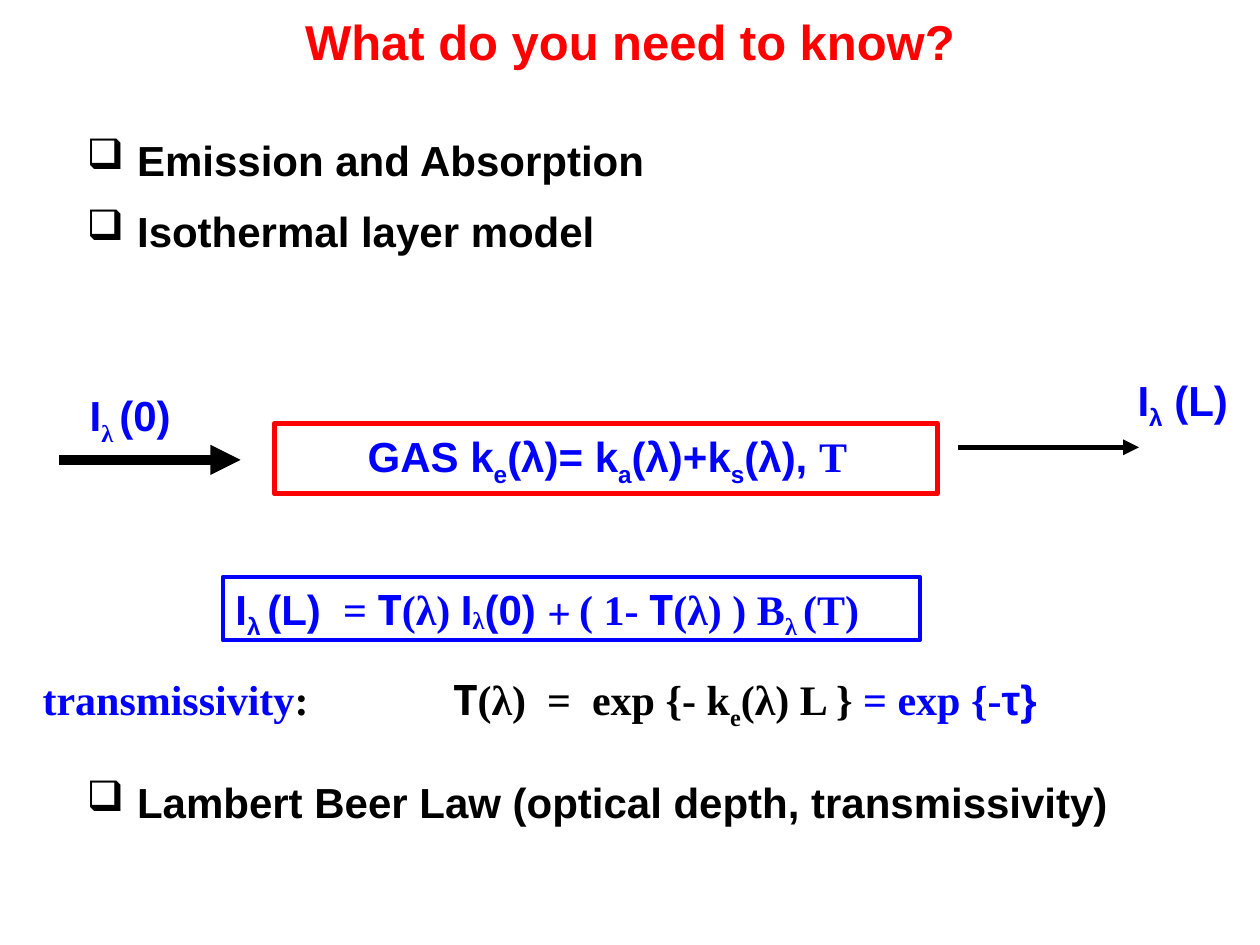
from pptx import Presentation
from pptx.dml.color import RGBColor
from pptx.enum.shapes import MSO_CONNECTOR as Connector, MSO_SHAPE as Shape
from pptx.enum.text import MSO_ANCHOR as Anchor, PP_ALIGN as Align
from pptx.oxml.ns import qn
from pptx.util import Pt
from lxml.etree import SubElement

PX = 9144
ARIAL, TIMES, NOTO, VOLLKORN = "Arial", "Times New Roman", "Noto Sans", "Vollkorn"
BLACK, BLUE, RED = "000000", "0000FF", "FF0000"
SUB = -25


def px(*lengths):
    return [length * PX for length in lengths]


def rgb(value):
    return RGBColor.from_string(value)


def add_run(paragraph, text, font=ARIAL, baseline=0, color=BLUE, size=24):
    run = paragraph.add_run()
    run.text = text
    run.font.name = font
    run.font.size = Pt(size)
    run.font.bold = True
    run.font.color.rgb = rgb(color)
    if baseline:
        run._r.get_or_add_rPr().set("baseline", str(baseline * 1000))


def add_runs(paragraph, runs):
    for run in runs:
        add_run(paragraph, *run)


def add_text(slide, box, runs=(), align=Align.LEFT):
    frame = slide.shapes.add_textbox(*px(*box)).text_frame
    frame.word_wrap = True
    frame.paragraphs[0].alignment = align
    add_runs(frame.paragraphs[0], runs)
    return frame


def add_frame(slide, box, color, width):
    shape = slide.shapes.add_shape(Shape.RECTANGLE, *px(*box))
    shape.shadow.inherit = False
    shape.fill.background()
    shape.line.color.rgb = rgb(color)
    shape.line.width = Pt(width)
    return shape


def add_arrow(slide, left, top, length, width):
    arrow = slide.shapes.add_connector(
        Connector.STRAIGHT, *px(left, top, left + length, top))
    arrow.line.color.rgb = rgb(BLACK)
    arrow.line.width = Pt(width)
    SubElement(arrow.line._get_or_add_ln(), qn("a:tailEnd"), type="triangle")
    SubElement(arrow._element.spPr, qn("a:effectLst"))


def add_title(slide, box, text):
    title = slide.shapes.title
    title.left, title.top, title.width, title.height = px(*box)
    frame = title.text_frame
    frame.vertical_anchor = Anchor.MIDDLE
    frame.paragraphs[0].alignment = Align.CENTER
    add_run(frame.paragraphs[0], text, color=RED, size=28)


def add_bullets(slide, box, items):
    frame = add_text(slide, box)
    frame.vertical_anchor = Anchor.MIDDLE
    for index, item in enumerate(items):
        paragraph = frame.add_paragraph() if index else frame.paragraphs[0]
        if index:
            paragraph.space_before = Pt(12)
        properties = paragraph._p.get_or_add_pPr()
        properties.set("marL", str(40 * PX))
        properties.set("indent", str(-40 * PX))
        SubElement(properties, qn("a:buChar"), char="❑")
        add_run(paragraph, item, color=BLACK)


def add_gas_layer(slide, left, top):
    add_frame(slide, (left + 171, top + 44, 526, 56), RED, 3)
    add_arrow(slide, left, top + 73, 144, 5.75)
    add_arrow(slide, left + 713, top + 63, 144, 3)
    add_text(slide, (left + 235, top + 45, 470, 50), [
        ("GAS k",), ("e", ARIAL, SUB), ("(λ)= k",), ("a", ARIAL, SUB),
        ("(λ)+k",), ("s", ARIAL, SUB), ("(λ), ",), ("T", TIMES)])
    add_text(slide, (left + 846, top, 107, 50), [
        ("I",), ("λ", ARIAL, SUB), (" (L)",)])
    incoming = add_text(slide, (left - 11, top + 13, 144, 47), [
        ("I",), ("λ ", TIMES, SUB), ("(0) ",)], Align.CENTER)
    incoming.paragraphs[0].line_spacing = 0.9


def add_equation(slide, box):
    frame = add_frame(slide, box, BLUE, 2.5).text_frame
    frame.word_wrap = True
    frame.vertical_anchor = Anchor.TOP
    paragraph = frame.paragraphs[0]
    paragraph.alignment = Align.LEFT
    add_runs(paragraph, [
        ("I",), ("λ ", ARIAL, SUB), ("(L) ",), (" = ", TIMES), ("T", NOTO),
        ("(λ) ", TIMES), ("I",), ("λ", TIMES, -10), ("(0) ",),
        ("+ ", VOLLKORN), ("( 1- ", TIMES), ("T", NOTO),
        ("(λ) ) B", TIMES), ("λ ", TIMES, SUB), ("(T)", TIMES)])


def add_transmissivity(slide, box, tab):
    frame = add_text(slide, box, [
        ("transmissivity", TIMES), (":\t", TIMES, 0, BLACK),
        ("T", NOTO, 0, BLACK), ("(λ)  =  exp {- k", TIMES, 0, BLACK),
        ("e", TIMES, SUB, BLACK), ("(λ) L }", TIMES, 0, BLACK),
        (" = exp {-", TIMES), ("τ}",)])
    properties = frame.paragraphs[0]._p.get_or_add_pPr()
    tabs = SubElement(properties, qn("a:tabLst"))
    SubElement(tabs, qn("a:tab"), pos=str(tab * PX), algn="l")


def main():
    presentation = Presentation()
    presentation.slide_width, presentation.slide_height = px(1000, 750)
    slide = presentation.slides.add_slide(presentation.slide_layouts[5])
    add_title(slide, (0, -3, 1000, 71), "What do you need to know?")
    add_bullets(slide, (59, 100, 906, 110),
                ["Emission and Absorption", "Isothermal layer model"])
    add_gas_layer(slide, 47, 292)
    add_equation(slide, (177, 458, 553, 50))
    add_transmissivity(slide, (24, 530, 960, 53), 326)
    add_bullets(slide, (59, 606, 906, 60),
                ["Lambert Beer Law (optical depth, transmissivity)"])
    presentation.save("out.pptx")


if __name__ == "__main__":
    main()
